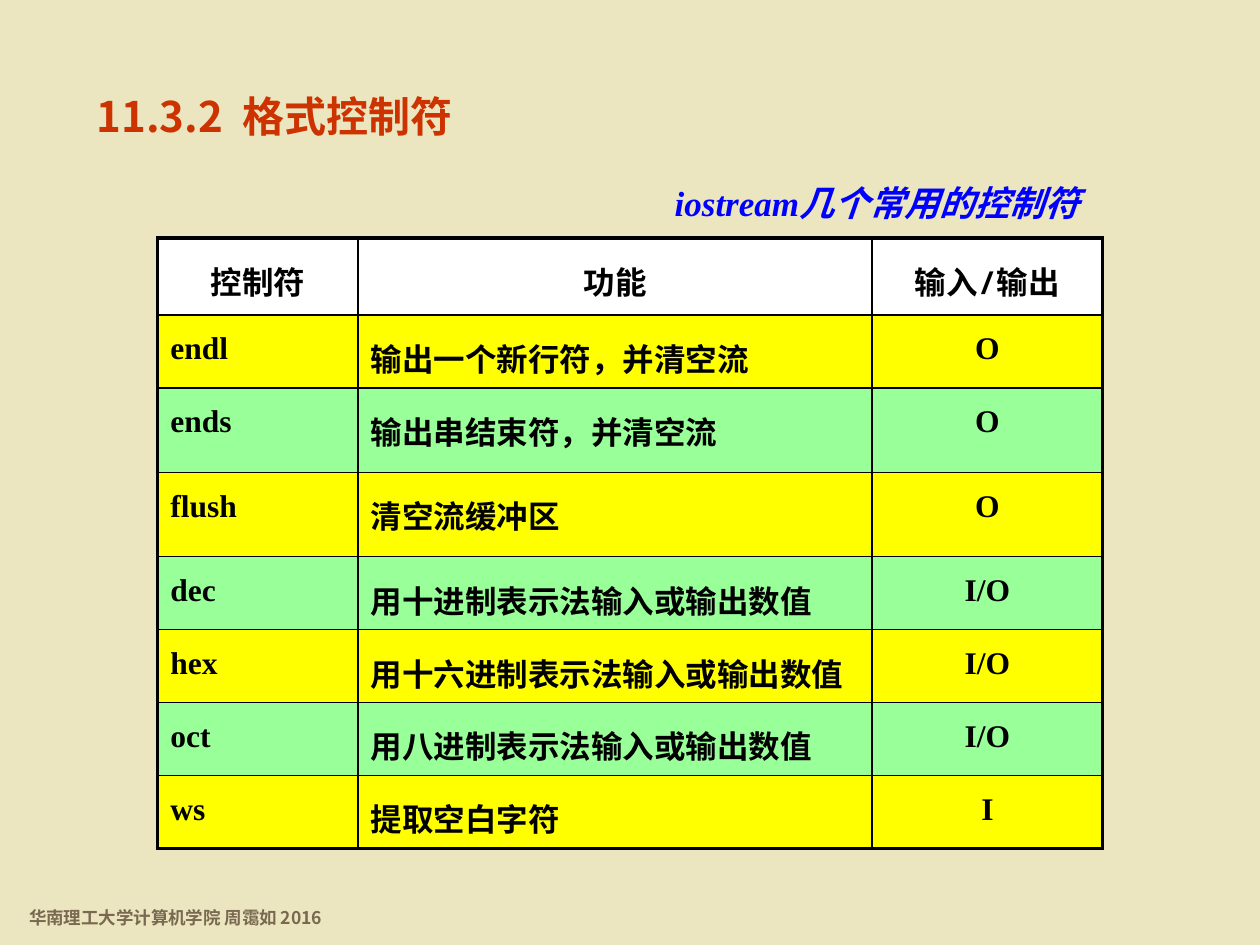
from lxml.etree import SubElement
from pptx import Presentation
from pptx.dml.color import RGBColor
from pptx.enum.text import PP_ALIGN as Align
from pptx.oxml.ns import qn
from pptx.util import Cm, Pt

COLORS = {
    "background": "ECE6C0", "title": "CC3300", "caption": "0000FF",
    "footer": "786950", "ink": "000000", "header": "FFFFFF",
    "odd": "FFFF00", "even": "99FF99",
}
CJK, MONO, SERIF = "Noto Sans CJK SC", "Noto Sans Mono", "Times New Roman"


def write(frame, text, color, size, latin, align=Align.LEFT, italic=False):
    paragraph = frame.paragraphs[0]
    paragraph.alignment = align
    run = paragraph.add_run()
    run.text = text
    formats = {"name": latin, "size": Pt(size), "bold": True, "italic": italic}
    for attribute, value in formats.items():
        setattr(run.font, attribute, value)
    run.font.color.rgb = RGBColor.from_string(COLORS[color])
    SubElement(run.font._element, qn("a:ea"), typeface=CJK)
    return paragraph


def add_border(cell, side, width):
    line = SubElement(cell._tc.get_or_add_tcPr(), qn(f"a:ln{side}"), w=str(Pt(width)))
    fill = SubElement(line, qn("a:solidFill"))
    SubElement(fill, qn("a:srgbClr"), val=COLORS["ink"])


deck = Presentation()
deck.slide_width, deck.slide_height = Cm(25.4), Cm(19.05)
slide = deck.slides.add_slide(deck.slide_layouts[6])
slide.background.fill.solid()
slide.background.fill.fore_color.rgb = RGBColor.from_string(COLORS["background"])

# Footer, title and table caption: box in cm, wrap, text and its format
labels = [
    ((0.25, 18.16, 6.58, 0.69), False, "华南理工大学计算机学院 周霭如 2016",
     {"color": "footer", "size": 10, "latin": CJK, "align": Align.CENTER}),
    ((1.7, 1.7, 15.67, 1.7), True, "11.3.2  格式控制符",
     {"color": "title", "size": 24, "latin": CJK}),
    ((12.7, 3.53, 9.32, 1.09), True, "iostream几个常用的控制符",
     {"color": "caption", "size": 20, "latin": SERIF, "align": Align.RIGHT,
      "italic": True}),
]
for box, wrap, text, style in labels:
    frame = slide.shapes.add_textbox(*map(Cm, box)).text_frame
    frame.word_wrap = wrap
    write(frame, text, **style)

# Table of manipulators
manipulators = [
    ("控制符", "功能", "输入/输出"),
    ("endl", "输出一个新行符，并清空流", "O"),
    ("ends", "输出串结束符，并清空流", "O"),
    ("flush", "清空流缓冲区", "O"),
    ("dec", "用十进制表示法输入或输出数值", "I/O"),
    ("hex", "用十六进制表示法输入或输出数值", "I/O"),
    ("oct", "用八进制表示法输入或输出数值", "I/O"),
    ("ws", "提取空白字符", "I"),
]
column_widths = [4.04, 10.36, 4.65]
row_heights = [1.55, 1.47, 1.7, 1.7, 1.47, 1.47, 1.47, 1.47]
last_row, last_column = len(row_heights) - 1, len(column_widths) - 1

table = slide.shapes.add_table(
    len(row_heights), len(column_widths), Cm(3.18), Cm(4.8),
    Cm(sum(column_widths)), Cm(sum(row_heights))).table
for column, width in zip(table.columns, column_widths):
    column.width = Cm(width)
for row, height in zip(table.rows, row_heights):
    row.height = Cm(height)

for r, entries in enumerate(manipulators):
    band = "header" if r == 0 else ("even", "odd")[r % 2]
    for c, text in enumerate(entries):
        cell = table.cell(r, c)
        centred = r == 0 or c == last_column
        paragraph = write(cell.text_frame, text, "ink", 18,
                          MONO if r == 0 else SERIF,
                          Align.CENTER if centred else Align.LEFT)
        paragraph.line_spacing = 1.3
        paragraph.space_before = Pt(3.6)
        # Thick lines on the outer edge; borders must precede the fill
        outer = {"L": c == 0, "R": c == last_column, "T": r == 0, "B": r == last_row}
        for side, is_outer in outer.items():
            add_border(cell, side, 2.25 if is_outer else 1)
        cell.fill.solid()
        cell.fill.fore_color.rgb = RGBColor.from_string(COLORS[band])

deck.save("out.pptx")
